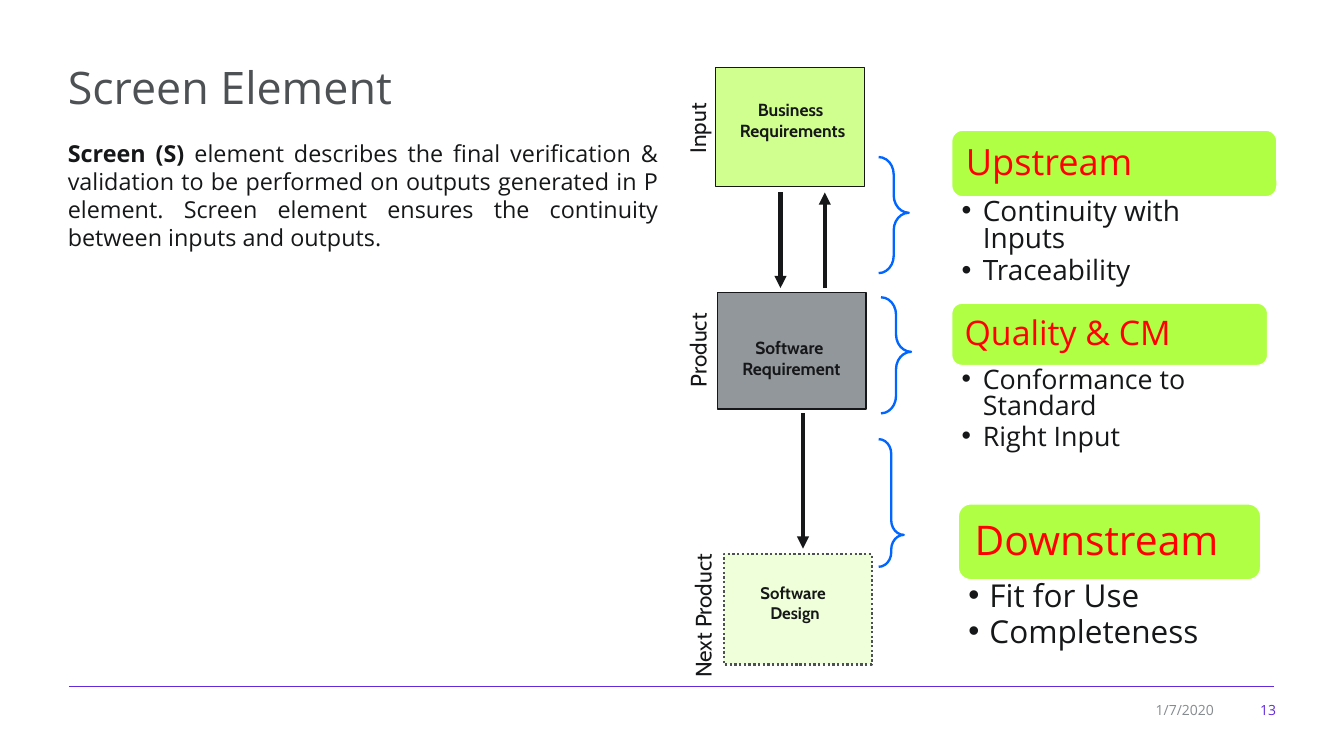
from dataclasses import dataclass

from lxml import etree
from pptx import Presentation
from pptx.dml import color
from pptx.enum import dml, shapes, text
from pptx.oxml import ns
from pptx.util import Cm, Pt

RGB = color.RGBColor
INK = RGB(0x16, 0x17, 0x18)
SLATE = RGB(0x4D, 0x51, 0x54)
MUTED = RGB(0x86, 0x8B, 0x90)
GRAY = RGB(0x92, 0x97, 0x9B)
VIOLET = RGB(0x62, 0x2A, 0xD8)
BLUE = RGB(0x00, 0x66, 0xFF)
RED = RGB(0xFF, 0x00, 0x00)
WHITE = RGB(0xFF, 0xFF, 0xFF)
LIME = RGB(0xB0, 0xFF, 0x45)
PALE = RGB(0xD0, 0xFF, 0x8F)
FAINT = RGB(0xEF, 0xFF, 0xDA)
SANS, CABIN = "Open Sans", "Cabin"
KIND, ALIGN = shapes.MSO_SHAPE, text.PP_ALIGN
MID = text.MSO_ANCHOR.MIDDLE


# All places and sizes below are in centimetres
@dataclass
class Box:
    x: float
    y: float
    w: float
    h: float


@dataclass
class Stage:
    box: Box
    fill: RGB
    edge: RGB
    words: str
    area: Box
    size: float
    tag: str
    side: Box
    dots: bool = False


@dataclass
class Brace:
    box: Box
    point: float


@dataclass
class Arrow:
    x: float
    start: float
    end: float


@dataclass
class Panel:
    box: Box
    head: str
    size: float
    pad: float
    items: list[str]
    depth: float
    small: float


STAGES = [
    Stage(Box(21.64, 2.03, 4.5, 3.61), PALE, INK, "Business \nRequirements",
          Box(21.92, 2.84, 4.09, 1.57), 15, "Input", Box(19.84, 3.1, 2.49, 1.07)),
    Stage(Box(21.69, 8.84, 4.5, 3.53), GRAY, INK, "Software \nRequirement",
          Box(22, 10.03, 3.86, 1.57), 15, "Product", Box(19.46, 9.78, 3.28, 1.07)),
    Stage(Box(21.89, 16.76, 4.47, 3.33), FAINT, SLATE, "Software \nDesign",
          Box(22.58, 17.48, 2.92, 1.52), 14.4, "Next Product",
          Box(18.69, 17.65, 5.13, 1.07), True),
]
ARROWS = [Arrow(23.6, 5.82, 8.71), Arrow(24.94, 8.71, 5.82), Arrow(24.28, 12.5, 16.59)]
BRACES = [
    Brace(Box(26.57, 4.75, 0.91, 3.51), 0.48),
    Brace(Box(26.64, 8.99, 0.91, 3.51), 0.47),
    Brace(Box(26.57, 13.28, 0.76, 3.86), 0.75),
]
PANELS = [
    Panel(Box(28.78, 3.94, 9.83, 2.01), "Upstream", 31, 0.33,
          ["Continuity with Inputs", "Traceability"], 3.12, 24),
    Panel(Box(28.78, 9.17, 9.55, 1.88), "Quality & CM", 29, 0.3,
          ["Conformance to Standard", "Right Input"], 3, 23),
    Panel(Box(28.98, 15.24, 9.14, 2.29), "Downstream", 35, 0.38,
          ["Fit for Use", "Completeness"], 2.51, 27),
]

deck = Presentation()
deck.slide_width, deck.slide_height = Cm(40.64), Cm(22.86)
slide = deck.slides.add_slide(deck.slide_layouts[6])


def place(box: Box) -> list[int]:
    return [Cm(v) for v in (box.x, box.y, box.w, box.h)]


def inset(frame, left: float, top: float, right: float) -> None:
    frame.margin_left, frame.margin_right = Cm(left), Cm(right)
    frame.margin_top = frame.margin_bottom = Cm(top)


def style(frame, size: float, tint: RGB, face: str = SANS, bold: bool = False,
          align: int = ALIGN.LEFT) -> None:
    for para in frame.paragraphs:
        para.alignment = align
        for run in para.runs:
            font = run.font
            font.size, font.name, font.bold = Pt(size), face, bold
            font.color.rgb = tint


def write(box: Box, words: str, wrap: bool = True):
    item = slide.shapes.add_textbox(*place(box))
    item.text_frame.text = words
    item.text_frame.word_wrap = wrap
    return item


def shape(kind: int, box: Box, fill: RGB | None, edge: RGB, width: float):
    item = slide.shapes.add_shape(kind, *place(box))
    item.shadow.inherit = False
    if fill is None:
        item.fill.background()
    else:
        item.fill.solid()
        item.fill.fore_color.rgb = fill
    item.line.color.rgb, item.line.width = edge, Pt(width)
    return item


def rule(x1: float, y1: float, x2: float, y2: float, tint: RGB, width: float,
         head: bool = False) -> None:
    item = slide.shapes.add_connector(
        shapes.MSO_CONNECTOR.STRAIGHT, Cm(x1), Cm(y1), Cm(x2), Cm(y2))
    item.line.color.rgb, item.line.width = tint, Pt(width)
    if head:
        etree.SubElement(item.line._get_or_add_ln(), ns.qn("a:tailEnd"), type="triangle")
    etree.SubElement(item._element.spPr, ns.qn("a:effectLst"))


def draw_stage(stage: Stage) -> None:
    frame = shape(KIND.RECTANGLE, stage.box, stage.fill, stage.edge, 2 if stage.dots else 1)
    if stage.dots:
        frame.line.dash_style = dml.MSO_LINE.ROUND_DOT
    label = write(stage.area, stage.words, False).text_frame
    inset(label, 0.3, 0.15, 0.3)
    style(label, stage.size, INK, CABIN, True, ALIGN.CENTER)
    tag = write(stage.side, stage.tag)
    tag.rotation = 270
    style(tag.text_frame, 19.2, INK, CABIN)


def draw_panel(panel: Panel) -> None:
    box = panel.box
    head = shape(KIND.ROUNDED_RECTANGLE, box, LIME, WHITE, 1).text_frame
    head.text, head.word_wrap, head.vertical_anchor = panel.head, True, MID
    inset(head, panel.pad, panel.pad, panel.pad)
    head.paragraphs[0].line_spacing = 0.9
    style(head, panel.size, RED)

    area = Box(box.x, box.y + box.h, box.w, panel.depth)
    items = write(area, "\n".join(panel.items)).text_frame
    inset(items, 0.3, 0.1, 0.61)
    style(items, panel.small, INK)
    for para in items.paragraphs:
        para.line_spacing, para.space_after = 0.8, Pt(panel.small * 0.2)
        props = para._p.get_or_add_pPr()
        props.set("marL", str(Cm(0.64)))
        props.set("indent", str(-Cm(0.64)))
        etree.SubElement(props, ns.qn("a:buFont"), typeface="Arial")
        etree.SubElement(props, ns.qn("a:buChar"), char="•")


# Title and body
style(write(Box(1.8, 1.68, 37.06, 1.91), "Screen Element").text_frame, 38.4, SLATE)
body = write(Box(1.8, 4.09, 18.36, 3.68), "Screen (S)").text_frame
body.paragraphs[0].add_run().text = (
    " element describes the final verification & validation to be performed on outputs "
    "generated in P element. Screen element ensures the continuity between inputs and outputs.")
style(body, 20, INK, align=ALIGN.JUSTIFY)
body.paragraphs[0].runs[0].font.bold = True

# Flow
for stage in STAGES:
    draw_stage(stage)
for arrow in ARROWS:
    rule(arrow.x, arrow.start, arrow.x, arrow.end, INK, 3.5, True)
for brace in BRACES:
    curve = shape(KIND.RIGHT_BRACE, brace.box, None, BLUE, 2)
    curve.adjustments[0], curve.adjustments[1] = 0.58, brace.point

# Panels
for panel in PANELS:
    draw_panel(panel)

# Footer
rule(2.08, 20.75, 38.51, 20.75, VIOLET, 0.75)
for box, words, tint in ((Box(34.06, 21.08, 2.9, 0.79), "1/7/2020", MUTED),
                         (Box(37.29, 21.08, 1.55, 0.79), "13", VIOLET)):
    note = write(box, words).text_frame
    note.vertical_anchor = MID
    style(note, 12, tint, align=ALIGN.RIGHT)

deck.save("out.pptx")
